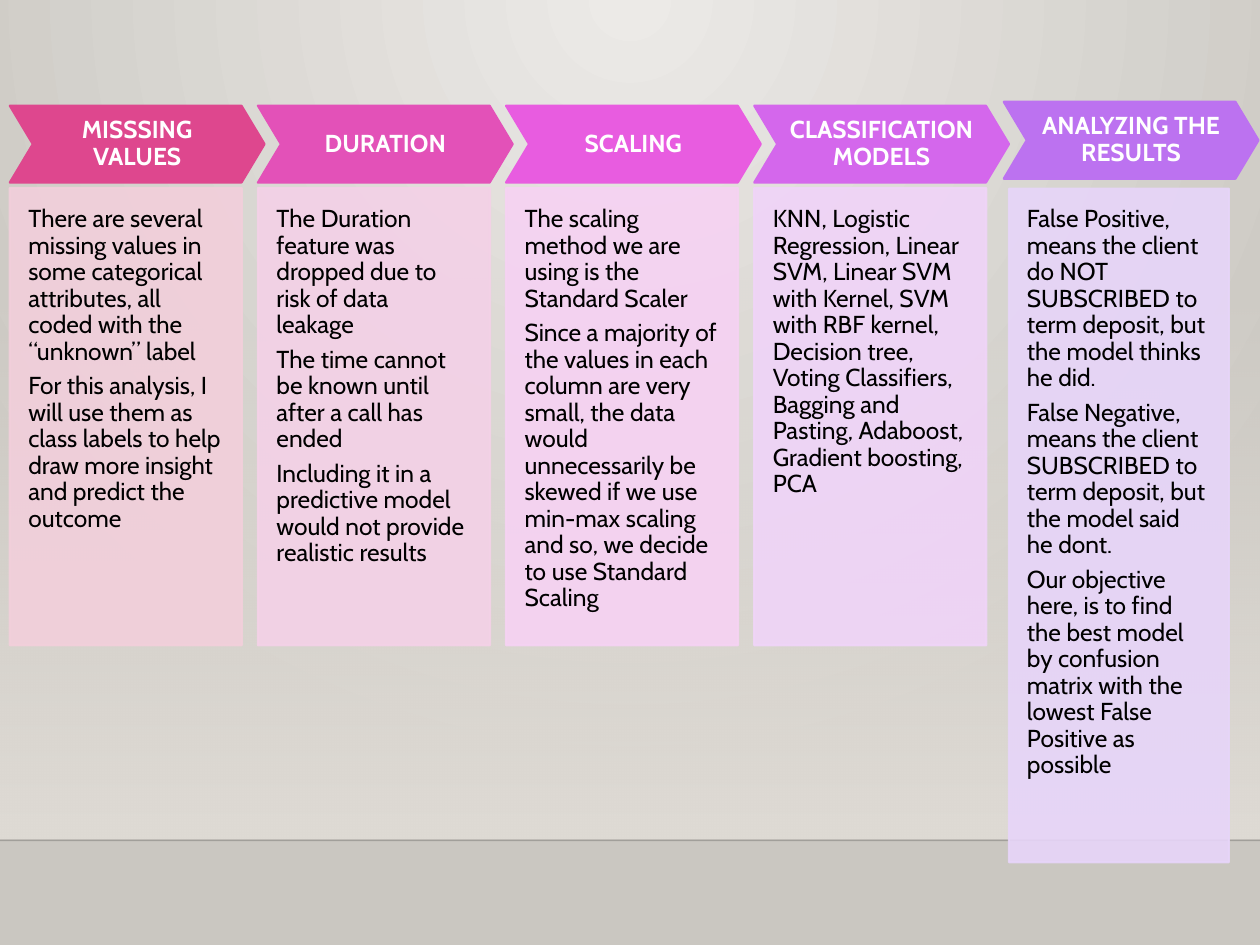
from dataclasses import dataclass

from lxml.etree import SubElement
from pptx import Presentation
from pptx.dml.color import RGBColor
from pptx.enum.shapes import MSO_CONNECTOR, MSO_SHAPE
from pptx.enum.text import MSO_ANCHOR, PP_ALIGN
from pptx.oxml.ns import qn
from pptx.util import Pt


@dataclass(frozen=True)
class Theme:
    font: str = "Cabin"
    size: float = 14
    glow: str = "ECEAE7"
    backdrop: str = "CAC7C1"
    wall: str = "DFDBD5"
    floor_line: str = "000001"
    heading_text: str = "FFFFFF"
    body_text: str = "000000"
    headings: tuple = ("DE478E", "E351B8", "E85CE0", "D467EC", "BC72F0")
    panels: tuple = ("F2CFDB", "F4D1E7", "F6D2F3", "F0D4F8", "E7D5F9")


STEPS = [
    ("MISSSING VALUES", [
        "There are several missing values in some categorical attributes, "
        "all coded with the “unknown” label",
        "For this analysis, I will use them as class labels to help draw "
        "more insight and predict the outcome"]),
    ("DURATION", [
        "The Duration feature was dropped due to risk of data leakage",
        "The time cannot be known until after a call has ended",
        "Including it in a predictive model would not provide realistic results"]),
    ("SCALING", [
        "The scaling method we are using is the Standard Scaler",
        "Since a majority of the values in each column are very small, the "
        "data would unnecessarily be skewed if we use min-max scaling and so, "
        "we decide to use Standard Scaling"]),
    ("CLASSIFICATION MODELS", [
        "KNN, Logistic Regression, Linear SVM, Linear SVM with Kernel, SVM "
        "with RBF kernel, Decision tree, Voting Classifiers, Bagging and "
        "Pasting, Adaboost, Gradient boosting, PCA"]),
    ("ANALYZING THE RESULTS", [
        "False Positive, means the client do NOT SUBSCRIBED to term deposit, "
        "but the model thinks he did.",
        "False Negative, means the client SUBSCRIBED to term deposit, but the "
        "model said he dont.",
        "Our objective here, is to find the best model by confusion matrix "
        "with the lowest False Positive as possible"]),
]


class SlideBuilder:
    """Holds the theme and the current slide, and draws each kind of element."""

    def __init__(self, page, theme):
        self.page = page
        self.theme = theme

    def set_alpha(self, color, percent):
        SubElement(color, qn("a:alpha"), val=str(percent * 1000))

    def fill_gradient(self, fill, colors):
        fill.gradient()
        for stop, color in zip(fill.gradient_stops, colors):
            stop.color.rgb = RGBColor.from_string(color)

    def background(self):
        self.fill_gradient(self.page.background.fill,
                           (self.theme.glow, self.theme.backdrop))
        gradient = self.page.element.find(".//" + qn("a:gradFill"))
        gradient.remove(gradient.find(qn("a:lin")))
        circle = SubElement(gradient, qn("a:path"), {"path": "circle"})
        SubElement(circle, qn("a:fillToRect"),
                   l="43000", t="0", r="43000", b="100000")

    def wall(self, top, width, height):
        shape = self.page.shapes.add_shape(
            MSO_SHAPE.RECTANGLE, 0, Pt(top), Pt(width), Pt(height))
        shape.shadow.inherit = False
        shape.line.fill.background()
        self.fill_gradient(shape.fill, (self.theme.wall, self.theme.wall))
        shape.fill.gradient_angle = 270
        self.set_alpha(shape.element.find(".//" + qn("a:srgbClr")), 0)

    def floor_line(self, top, width):
        line = self.page.shapes.add_connector(
            MSO_CONNECTOR.STRAIGHT, 0, Pt(top), Pt(width), Pt(top))
        line.line.width = Pt(1)
        line.line.color.rgb = RGBColor.from_string(self.theme.floor_line)
        self.set_alpha(line.element.find(".//" + qn("a:srgbClr")), 20)
        SubElement(line.element.spPr, qn("a:effectLst"))

    def box(self, preset, place, color):
        shape = self.page.shapes.add_shape(preset, *map(Pt, place))
        shape.shadow.inherit = False
        shape.fill.solid()
        shape.fill.fore_color.rgb = RGBColor.from_string(color)
        shape.line.width = Pt(1.25)
        shape.line.color.rgb = RGBColor.from_string(color)
        return shape

    def add_text(self, shape, texts, insets, color, align, anchor, bold=False):
        frame = shape.text_frame
        frame.word_wrap = True
        frame.vertical_anchor = anchor
        (frame.margin_left, frame.margin_top,
         frame.margin_right, frame.margin_bottom) = map(Pt, insets)
        for index, text in enumerate(texts):
            para = frame.add_paragraph() if index else frame.paragraphs[0]
            para.alignment = align
            para.line_spacing = 0.9
            para.space_after = Pt(4.6)
            span = para.add_run()
            span.text = text
            span.font.name = self.theme.font
            span.font.size = Pt(self.theme.size)
            span.font.bold = bold
            span.font.color.rgb = RGBColor.from_string(color)

    def heading(self, place, text, color):
        shape = self.box(MSO_SHAPE.CHEVRON, place, color)
        shape.adjustments[0] = 0.3
        self.add_text(shape, [text], (5, 5, 5, 5), self.theme.heading_text,
                      PP_ALIGN.CENTER, MSO_ANCHOR.MIDDLE, bold=True)

    def panel(self, place, texts, color, inset):
        shape = self.box(MSO_SHAPE.RECTANGLE, place, color)
        for part in shape.element.spPr.iter(qn("a:srgbClr")):
            self.set_alpha(part, 90)
        self.add_text(shape, texts, (inset, inset, inset, 2 * inset),
                      self.theme.body_text, PP_ALIGN.LEFT, MSO_ANCHOR.TOP)


def main():
    theme = Theme()
    deck = Presentation()
    deck.slide_width, deck.slide_height = Pt(720), Pt(540)
    page = deck.slides.add_slide(deck.slide_layouts[6])
    builder = SlideBuilder(page, theme)
    builder.background()
    builder.wall(158.4, 720, 321.6)
    builder.floor_line(480.2, 720)

    left, pitch = 5.6, 141.8
    columns = [((left + i * pitch, 60.4, 145.6, 43.9),
                (left + i * pitch, 107.4, 132.6, 261.4), 10.6)
               for i in range(len(STEPS) - 1)]
    columns.append(((573.6, 58.2, 145.6, 43.9), (576.6, 107.8, 125.6, 385), 10.2))

    for (title, texts), (head, body, inset), strong, pale in zip(
            STEPS, columns, theme.headings, theme.panels):
        builder.heading(head, title, strong)
        builder.panel(body, texts, pale, inset)
    deck.save("out.pptx")


if __name__ == "__main__":
    main()
